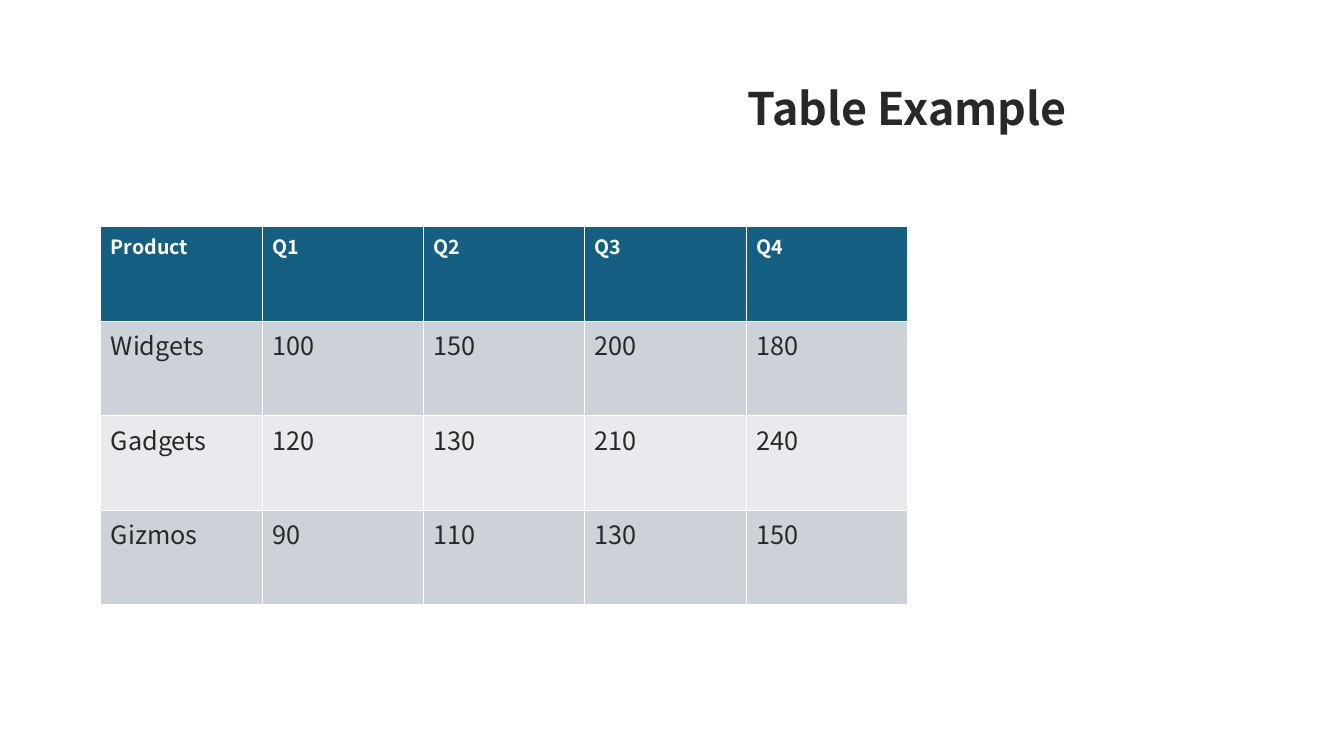
from lxml.etree import SubElement
from pptx import Presentation
from pptx.dml.color import RGBColor
from pptx.enum.text import MSO_ANCHOR, MSO_AUTO_SIZE, PP_ALIGN
from pptx.oxml.ns import qn
from pptx.util import Inches, Pt

FONT = "Noto Sans CJK JP"
INK = RGBColor(0x28, 0x28, 0x28)
WHITE = RGBColor(0xFF, 0xFF, 0xFF)
HEADER_FILL = RGBColor(0x15, 0x60, 0x82)
BAND_FILLS = [RGBColor(0xE8, 0xEA, 0xED), RGBColor(0xCC, 0xD2, 0xD8)]

SALES = [
    ["Product", "Q1", "Q2", "Q3", "Q4"],
    ["Widgets", "100", "150", "200", "180"],
    ["Gadgets", "120", "130", "210", "240"],
    ["Gizmos", "90", "110", "130", "150"],
]


def add_text(paragraph, text, size, color, bold):
    span = paragraph.add_run()
    span.text = text
    span.font.name = FONT
    span.font.size = Pt(size)
    span.font.bold = bold
    span.font.color.rgb = color


def add_borders(cell):
    properties = cell._tc.get_or_add_tcPr()
    for side in ("a:lnL", "a:lnR", "a:lnT", "a:lnB"):
        line = SubElement(properties, qn(side), w=str(Pt(1)))
        fill = SubElement(line, qn("a:solidFill"))
        SubElement(fill, qn("a:srgbClr"), val=str(WHITE))


deck = Presentation()
deck.slide_width = Inches(13.33)
deck.slide_height = Inches(7.5)
page = deck.slides.add_slide(deck.slide_layouts[5])

title = page.shapes.title
title.left, title.top = Inches(5), Inches(0.75)
title.width, title.height = Inches(8), Inches(1.12)
frame = title.text_frame
frame.word_wrap = False
frame.auto_size = MSO_AUTO_SIZE.NONE
frame.vertical_anchor = MSO_ANCHOR.TOP
frame.paragraphs[0].alignment = PP_ALIGN.CENTER
add_text(frame.paragraphs[0], "Table Example", 32, INK, True)

table = page.shapes.add_table(
    len(SALES), len(SALES[0]), Inches(1), Inches(2.25), Inches(8), Inches(3.75)
).table
for row, values in enumerate(SALES):
    header = row == 0
    for column, value in enumerate(values):
        cell = table.cell(row, column)
        add_borders(cell)
        cell.fill.solid()
        cell.fill.fore_color.rgb = HEADER_FILL if header else BAND_FILLS[row % 2]
        add_text(
            cell.text_frame.paragraphs[0],
            value,
            14 if header else 18,
            WHITE if header else INK,
            header,
        )

deck.save("out.pptx")
